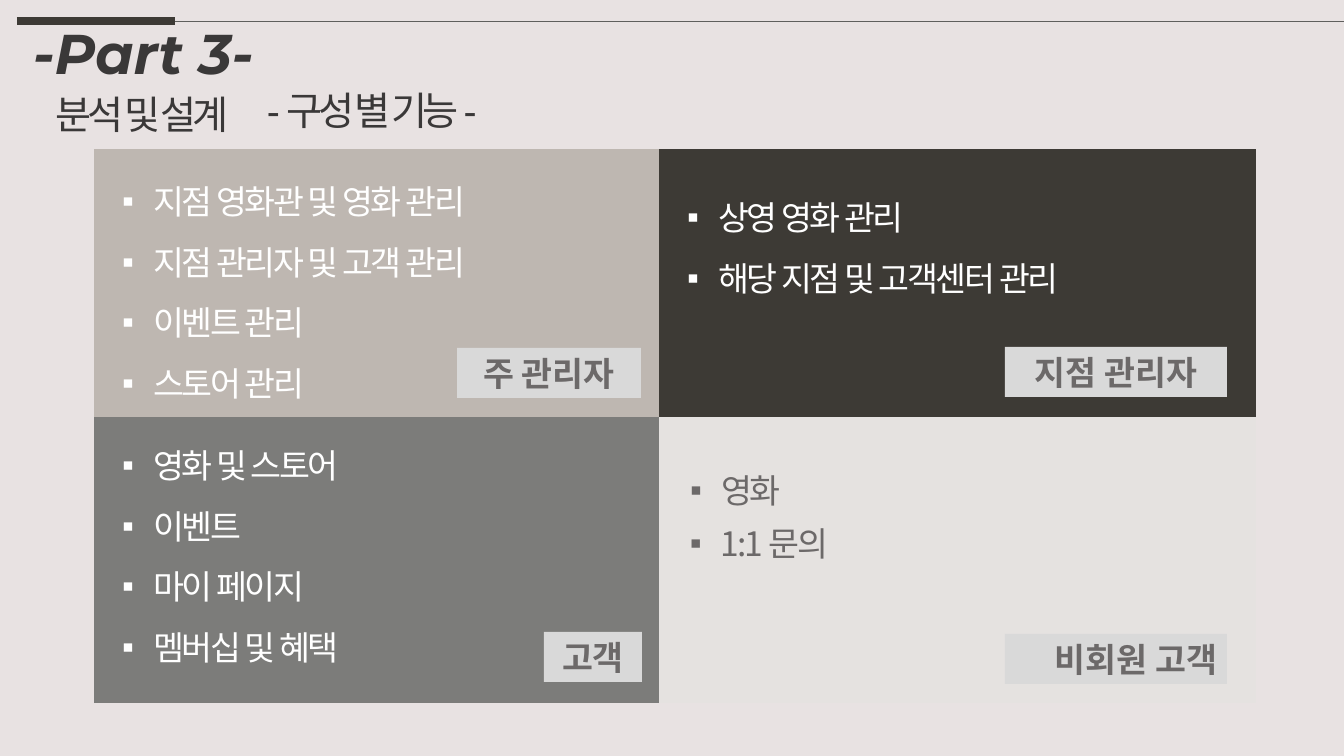
from pptx import Presentation
from pptx.dml.color import RGBColor
from pptx.enum.shapes import MSO_CONNECTOR as Link, MSO_SHAPE as Kind
from pptx.enum.text import MSO_ANCHOR as Anchor, MSO_AUTO_SIZE as Fit, PP_ALIGN as Align
from pptx.oxml.ns import qn
from pptx.util import Pt
from lxml.etree import SubElement as Sub

PX = 914400 / 100.8
HUE = {"back": "E8E2E2", "dark": "3D3A35", "rule": "5F5F5D", "sand": "BEB7B1",
       "gray": "7C7C7A", "pale": "E5E2E0", "tag": "D9D9D9", "text": "6C6969",
       "head": "3A3838", "white": "FFFFFF"}


def place(shape, *box):
    shape.left, shape.top, shape.width, shape.height = (round(n * PX) for n in box)


def write(shape, lines, size, font, hue, bold=False, slant=False, gap=0,
          side=Align.LEFT, wrap=True, list_on=False):
    frame = shape.text_frame
    frame.word_wrap = wrap
    frame.auto_size = Fit.SHAPE_TO_FIT_TEXT
    frame.vertical_anchor = Anchor.TOP
    for i, line in enumerate(lines):
        para = frame.add_paragraph() if i else frame.paragraphs[0]
        para.alignment = side
        para.space_before = Pt(0)
        run = para.add_run()
        run.text = line
        face = run.font
        face.size, face.name, face.bold, face.italic = Pt(size), font, bold, slant
        face.color.rgb = RGBColor.from_string(HUE[hue])
        if gap:
            run._r.get_or_add_rPr().set("spc", str(gap))
        if list_on:
            para.line_spacing = 1.5
            props = para._p.get_or_add_pPr()
            props.set("marL", str(round(31 * PX)))
            props.set("indent", str(round(-31 * PX)))
            Sub(props, qn("a:buFont")).set("typeface", "Arial")
            Sub(props, qn("a:buChar")).set("char", "▪")


deck = Presentation()
deck.slide_width, deck.slide_height = round(1344 * PX), round(756 * PX)
slide = deck.slides.add_slide(deck.slide_layouts[4])
slide.background.fill.solid()
slide.background.fill.fore_color.rgb = RGBColor.from_string(HUE["back"])
shapes = slide.shapes
tree = shapes._spTree
holds = list(slide.placeholders)

# Top rule
for start, end, hue, thick in [(17, 175, "dark", 6), (175, 1344, "rule", 0.5)]:
    rule = shapes.add_connector(Link.STRAIGHT, *(round(n * PX) for n in (start, 21, end, 21)))
    rule.line.color.rgb = RGBColor.from_string(HUE[hue])
    rule.line.width = Pt(thick)
    Sub(rule._element.spPr, qn("a:effectLst"))

# Four panels, then their role tags
panels = [(94 + 565 * (i % 2), 149 + 268 * (i // 2), 597, 286, hue, None, None)
          for i, hue in enumerate(["sand", "dark", "gray", "pale"])]
tags = [(457, 348, 184, 50, "tag", "주 관리자", Align.CENTER),
        (1005, 347, 222, 50, "tag", "지점 관리자", Align.CENTER),
        (544, 632, 98, 50, "tag", "고객", Align.CENTER),
        (1005, 634, 222, 50, "tag", "비회원 고객", Align.RIGHT)]
for *box, hue, role, side in panels + tags:
    rect = shapes.add_shape(Kind.RECTANGLE, 0, 0, 0, 0)
    place(rect, *box)
    rect.shadow.inherit = False
    rect.fill.solid()
    rect.fill.fore_color.rgb = RGBColor.from_string(HUE[hue])
    rect.line.fill.background()
    if role:
        write(rect, [role], 24, "Montserrat", "text", bold=True, side=side)

# Function lists, raised above the panels
lists = [
    ((112, 156, 488, 245), "white",
     ["지점 영화관 및 영화 관리", "지점 관리자 및 고객 관리", "이벤트 관리", "스토어 관리"]),
    ((677, 172, 488, 132), "white", ["상영 영화 관리", "해당 지점 및 고객센터 관리"]),
    ((112, 420, 431, 254), "white", ["영화 및 스토어", "이벤트", "마이 페이지", "멤버십 및 혜택"]),
    ((680, 445, 326, 61), "text", ["영화"]),
    ((680, 498, 326, 72), "text", ["1:1 문의"])]
for i, (box, hue, lines) in enumerate(lists):
    body = holds[i + 1] if i < 4 else shapes.add_textbox(0, 0, 0, 0)
    tree.append(body._element)
    place(body, *box)
    write(body, lines, 24, "Noto Sans CJK KR", hue, gap=-150, list_on=True)

# Title and subtitles; the second is wide enough for one line
title = shapes.title
tree.append(title._element)
place(title, 23, 13, 243, 72)
write(title, ["-Part 3-"], 40, "Montserrat", "head", bold=True, slant=True, wrap=False)
for box, line in [((46, 85, 211, 53), "분석 및 설계"), ((257, 81, 360, 57), "- 구성 별 기능 -")]:
    sub = shapes.add_textbox(0, 0, 0, 0)
    place(sub, *box)
    write(sub, [line], 28, "Arial", "head", gap=-300)

deck.save("out.pptx")
